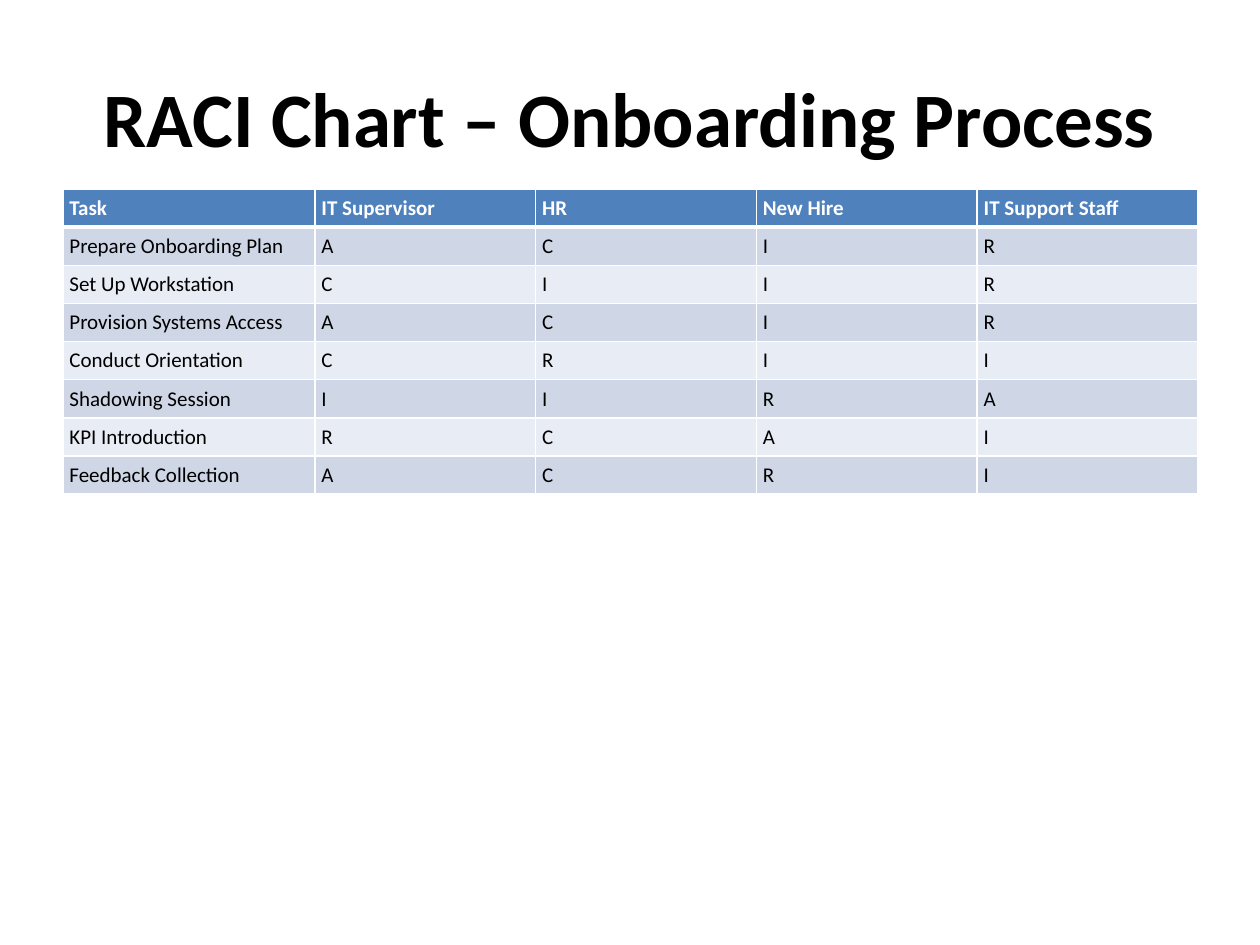
from lxml import etree
from pptx import Presentation
from pptx.dml.color import RGBColor
from pptx.enum.text import MSO_ANCHOR, PP_ALIGN
from pptx.oxml.ns import qn
from pptx.util import Cm, Pt

MIDDLE = MSO_ANCHOR.MIDDLE
TOP = MSO_ANCHOR.TOP
CENTER = PP_ALIGN.CENTER
LEFT = PP_ALIGN.LEFT

ROLES = ["Task", "IT Supervisor", "HR", "New Hire", "IT Support Staff"]
DUTIES = [
    ("Prepare Onboarding Plan", "ACIR"),
    ("Set Up Workstation", "CIIR"),
    ("Provision Systems Access", "ACIR"),
    ("Conduct Orientation", "CRII"),
    ("Shadowing Session", "IIRA"),
    ("KPI Introduction", "RCAI"),
    ("Feedback Collection", "ACRI"),
]


def color(hex_code):
    return RGBColor.from_string(hex_code)


def write(frame, text, size=12, ink="000000", bold=False, align=LEFT, font="Calibri"):
    paragraph = frame.paragraphs[0]
    paragraph.alignment = align
    run = paragraph.add_run()
    run.text = text
    run.font.name = font
    run.font.size = Pt(size)
    run.font.bold = bold
    run.font.color.rgb = color(ink)


class RaciSlide:
    margin = Cm(0.13)
    header_fill = "4F81BD"
    band_fills = ("CFD7E7", "E8ECF4")
    rule = "FFFFFF"

    def __init__(self, slide):
        self.slide = slide

    def inset(self, holder):
        holder.margin_left = holder.margin_right = self.margin
        holder.margin_top = holder.margin_bottom = self.margin

    def title(self, text, left, top, width, height):
        frame = self.slide.shapes.add_textbox(left, top, width, height).text_frame
        frame.word_wrap = True
        frame.vertical_anchor = MIDDLE
        self.inset(frame)
        write(frame, text, size=44, bold=True, align=CENTER)

    def border(self, cell, side, points):
        properties = cell._tc.get_or_add_tcPr()
        line = etree.SubElement(properties, qn(f"a:ln{side}"), w=str(Pt(points)))
        fill = etree.SubElement(line, qn("a:solidFill"))
        etree.SubElement(fill, qn("a:srgbClr"), val=self.rule)

    def cell(self, cell, text, row):
        header = row == 0
        weights = {"L": 1, "R": 1, "T": 3 if row == 1 else 1, "B": 3 if header else 1}
        for side, points in weights.items():
            self.border(cell, side, points)
        cell.fill.solid()
        fill = self.header_fill if header else self.band_fills[(row - 1) % 2]
        cell.fill.fore_color.rgb = color(fill)
        cell.vertical_anchor = TOP
        self.inset(cell)
        write(cell.text_frame, text, ink="FFFFFF" if header else "000000", bold=header)

    def table(self, rows, left, top, widths, row_height):
        matrix = self.slide.shapes.add_table(
            len(rows), len(widths), left, top, sum(widths), row_height * len(rows)
        ).table
        for column, width in zip(matrix.columns, widths):
            column.width = width
        for row, texts in enumerate(rows):
            matrix.rows[row].height = row_height
            for column, text in enumerate(texts):
                self.cell(matrix.cell(row, column), text, row)


def main():
    deck = Presentation()
    deck.slide_width, deck.slide_height = Cm(25.4), Cm(19.05)
    raci = RaciSlide(deck.slides.add_slide(deck.slide_layouts[6]))
    raci.title("RACI Chart – Onboarding Process", Cm(1.27), Cm(0.76), Cm(22.86), Cm(3.18))
    rows = [ROLES] + [[task, *letters] for task, letters in DUTIES]
    widths = [Cm(5.08)] + [Cm(4.45)] * 4
    raci.table(rows, Cm(1.27), Cm(3.81), widths, Cm(0.28))
    deck.save("out.pptx")


if __name__ == "__main__":
    main()
